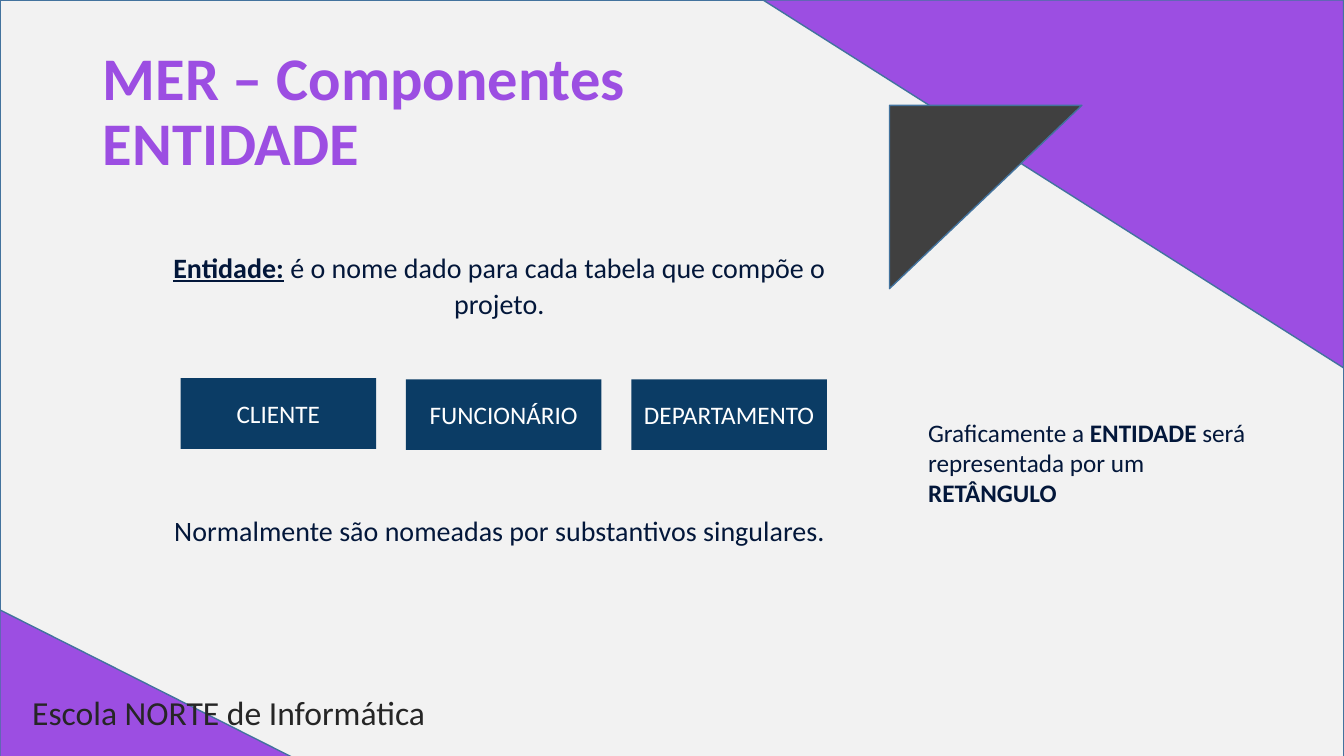
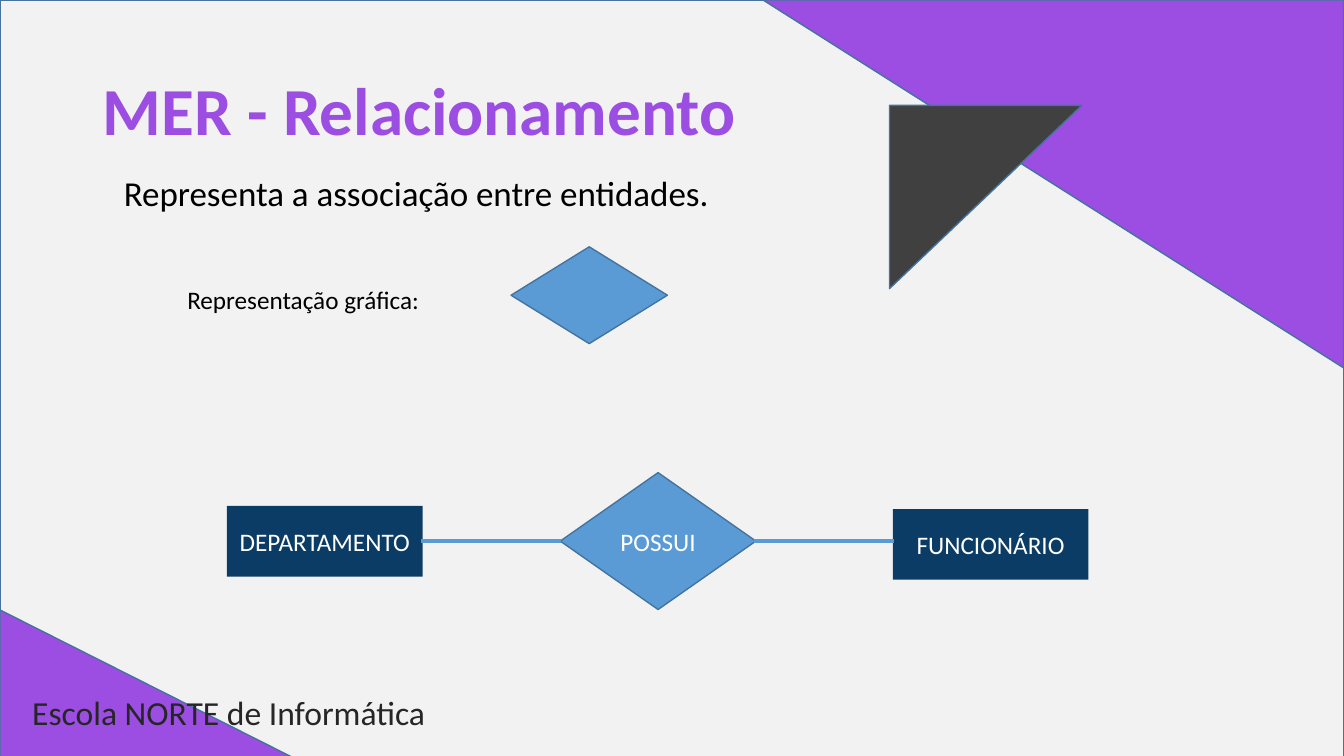
from lxml import etree
from pptx import Presentation
from pptx import util as u
from pptx.dml.color import RGBColor
from pptx.enum import shapes, text
from pptx.oxml.ns import qn

FONT = "Calibri"
COLORS = {
    "paper": "F2F2F2", "purple": "9C4EE2", "charcoal": "404040",
    "outline": "43739E", "footer": "262626", "navy": "0B3C65",
    "ink": "03173A", "blue": "5B9BD5", "white": "FFFFFF", "black": "000000",
}
SHAPE = shapes.MSO_SHAPE
LEFT, CENTER = text.PP_ALIGN.LEFT, text.PP_ALIGN.CENTER
ENTITY_W, ENTITY_H = 4.93, 1.78


def rgb(name):
    """Return a palette colour."""
    return RGBColor.from_string(COLORS[name])


def cm(*values):
    """Convert numbers to centimetre lengths."""
    return [u.Cm(v) for v in values]


def write(tf, runs, size=18, color="ink", bold=False, align=LEFT,
          anchor=text.MSO_ANCHOR.TOP, spacing=None, after=None, wrap=True):
    """Fill a text frame; runs is a string or a list of (text, bold, underline)."""
    tf.word_wrap = wrap
    tf.auto_size = text.MSO_AUTO_SIZE.NONE
    tf.vertical_anchor = anchor
    p = tf.paragraphs[0]
    p.alignment = align
    if spacing:
        p.line_spacing = spacing
    if after:
        p.space_after = u.Pt(after)
    if isinstance(runs, str):
        runs = [(runs, bold, False)]
    for content, is_bold, underline in runs:
        for i, line in enumerate(content.split("\n")):
            if i:
                p.add_line_break()
            r = p.add_run()
            r.text = line
            r.font.name, r.font.size = FONT, u.Pt(size)
            r.font.bold, r.font.underline = is_bold, underline
            r.font.color.rgb = rgb(color)


def add_text(s, box, runs, **fmt):
    """Add a text box at box (left, top, width, height)."""
    sp = s.shapes.add_textbox(*cm(*box))
    write(sp.text_frame, runs, **fmt)
    return sp


def add_figure(s, kind, box, fill, line="outline", label=None, rotation=0):
    """Add a filled preset shape with an optional centred label."""
    sp = s.shapes.add_shape(kind, *cm(*box))
    sp.shadow.inherit = False
    sp.rotation = rotation
    sp.fill.solid()
    sp.fill.fore_color.rgb = rgb(fill)
    if line:
        sp.line.color.rgb = rgb(line)
        sp.line.width = u.Pt(1)
    else:
        sp.line.fill.background()
    if label:
        write(sp.text_frame, label, color="white", align=CENTER,
              anchor=text.MSO_ANCHOR.MIDDLE)
    return sp


def add_entity(s, left, top, name):
    """Add an entity rectangle."""
    add_figure(s, SHAPE.RECTANGLE, (left, top, ENTITY_W, ENTITY_H), "navy",
               line=None, label=name)


def add_relation(s, box, label=None):
    """Add a relationship diamond."""
    add_figure(s, SHAPE.FLOWCHART_DECISION, box, "blue", label=label)


def add_link(s, x1, x2, y):
    """Add a horizontal link between an entity and a relationship."""
    link = s.shapes.add_connector(shapes.MSO_CONNECTOR.STRAIGHT, *cm(x1, y, x2, y))
    link.line.color.rgb = rgb("blue")
    link.line.width = u.Pt(3)
    etree.SubElement(link.element.spPr, qn("a:effectLst"))


def decorate_layout(s, layout):
    """Build the shared background and footer, and move them to the layout."""
    triangle = SHAPE.RIGHT_TRIANGLE
    parts = [
        add_figure(s, SHAPE.RECTANGLE, (0, 0, 33.87, 19.23), "paper"),
        add_figure(s, triangle, (0, 15.37, 7.62, 3.84), "purple"),
        add_figure(s, triangle, (19.23, 0, 14.63, 9.27), "purple", rotation=180),
        add_figure(s, triangle, (22.53, 2.54, 4.62, 4.85), "charcoal", rotation=90),
        add_text(s, (0.56, 17.3, 11.66, 1.27), "Escola NORTE de Informática",
                 size=24, color="footer"),
    ]
    for i, sp in enumerate(parts):
        sp.element.xpath(".//p:cNvPr")[0].set("id", str(100 + i))
        layout.shapes.element.insert(2 + i, sp.element)


def add_titled_slide(prs, layout, title, size):
    """Add a slide and format its title."""
    s = prs.slides.add_slide(layout)
    sp = s.shapes.title
    sp.left, sp.top, sp.width, sp.height = cm(2.34, 1.02, 29.21, 3.68)
    write(sp.text_frame, title, size=size, color="purple", bold=True,
          anchor=text.MSO_ANCHOR.MIDDLE, spacing=0.9)
    return s


def fill_entity_slide(s):
    """Explain what an entity is."""
    body = dict(size=20, align=CENTER, spacing=1.07, after=8)
    add_text(s, (3.63, 6.12, 17.91, 2.06), [
        ("Entidade:", True, True), (" ", True, False),
        ("é o nome dado para cada tabela que compõe o projeto.", False, False),
    ], **body)
    entities = [("CLIENTE", 9.53), ("FUNCIONÁRIO", 9.56), ("DEPARTAMENTO", 9.56)]
    for i, (name, top) in enumerate(entities):
        add_entity(s, 4.55 + i * 5.68, top, name)
    add_text(s, (3.56, 12.75, 18.06, 1.14),
             "Normalmente são nomeadas por substantivos singulares.", **body)
    add_text(s, (23.14, 10.39, 9.22, 1.8), [
        ("Graficamente a ", False, False), ("ENTIDADE", True, False),
        (" será representada por um ", False, False), ("RETÂNGULO ", True, False),
    ])


def fill_relation_slide(s):
    """Show a relationship between two entities."""
    add_text(s, (2.87, 4.19, 15.44, 1.32), "Representa a associação entre entidades.",
             size=25, color="black", wrap=False)
    add_text(s, (4.47, 7.04, 6.43, 1.02), "Representação gráfica:",
             color="black", wrap=False)
    add_relation(s, (12.88, 6.22, 3.94, 2.44))
    add_entity(s, 5.72, 12.75, "DEPARTAMENTO")
    add_entity(s, 22.5, 12.83, "FUNCIONÁRIO")
    add_relation(s, (14.12, 11.91, ENTITY_W, 3.45), "POSSUI")
    for start in (10.62, 19):
        add_link(s, start, start + 3.53, 13.64)


def main():
    """Build and save the presentation."""
    prs = Presentation()
    prs.slide_width, prs.slide_height = cm(33.87, 19.05)
    layout = prs.slide_layouts.get_by_name("Title Only")
    s = add_titled_slide(prs, layout, "MER – Componentes\nENTIDADE", 43.2)
    decorate_layout(s, layout)
    fill_entity_slide(s)
    fill_relation_slide(add_titled_slide(prs, layout, "MER - Relacionamento", 48))
    prs.save("out.pptx")


main()
